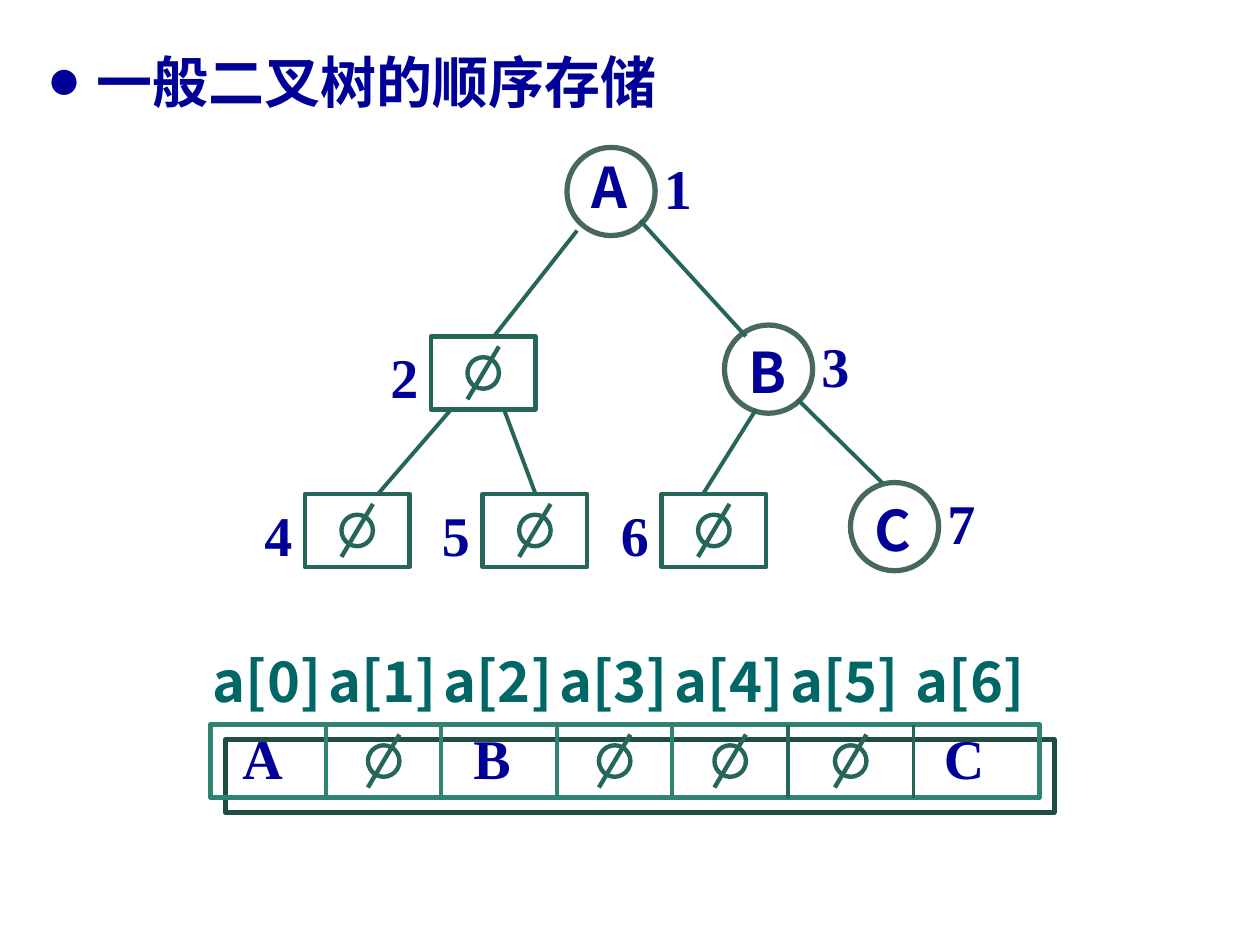
from dataclasses import dataclass

from lxml.etree import SubElement
from pptx import Presentation
from pptx.dml.color import RGBColor
from pptx.enum.shapes import MSO_CONNECTOR, MSO_SHAPE
from pptx.enum.text import PP_ALIGN
from pptx.oxml.ns import qn
from pptx.util import Inches, Pt

NAVY = "000099"
TEAL = "006666"
DARK_GREEN = "26665A"
CIRCLE_GREEN = "466861"
ARRAY_GREEN = "308272"
SHADOW_GREEN = "1D4E44"
CJK = "Noto Sans CJK SC"
SERIF = "Times New Roman"
BOX_WIDTH, BOX_HEIGHT = 0.83, 0.58
CIRCLE_SIZE = 0.7
SIGN_SIZE = 0.25


@dataclass
class LetterNode:
    letter: str
    number: str
    left: float
    top: float
    letter_top: float
    line_spacing: float


@dataclass
class EmptyNode:
    number: str
    left: float
    top: float


@dataclass
class Edge:
    start: tuple[float, float]
    end: tuple[float, float]


LETTER_NODES = [
    LetterNode("A", "1", 4.5, 1.17, 1.08, 1.15),
    LetterNode("B ", "3", 5.75, 2.58, 2.58, 1.1),
    LetterNode("C", "7", 6.75, 3.83, 3.83, 1.1),
]
EMPTY_NODES = [
    EmptyNode("2", 3.42, 2.67),
    EmptyNode("4", 2.42, 3.92),
    EmptyNode("5", 3.83, 3.92),
    EmptyNode("6", 5.25, 3.92),
]
EDGES = [
    Edge((4.58, 1.83), (3.92, 2.67)),
    Edge((5.08, 1.75), (5.92, 2.67)),
    Edge((3.58, 3.25), (3, 3.92)),
    Edge((4, 3.25), (4.25, 3.92)),
    Edge((6, 3.25), (5.58, 3.92)),
    Edge((6.33, 3.17), (7, 3.83)),
]
CELLS = ["A ", None, "B ", None, None, None, "C "]
ARRAY_LEFT, ARRAY_TOP, ARRAY_WIDTH = 1.67, 5.75, 6.58
CELL_WIDTH = 11 / 12
CELL_EDGES = [ARRAY_LEFT + CELL_WIDTH * index for index in range(6)] + [7.25]


def rgb(color: str) -> RGBColor:
    return RGBColor.from_string(color)


def add_text(slide, text: str, left: float, top: float, width: float, height: float, *,
             font: str = CJK, color: str = NAVY, align: PP_ALIGN = PP_ALIGN.LEFT,
             line_spacing: float = 1.0, bullet: bool = False):
    shape = slide.shapes.add_textbox(Inches(left), Inches(top), Inches(width), Inches(height))
    shape.text_frame.word_wrap = True
    paragraph = shape.text_frame.paragraphs[0]
    paragraph.alignment = align
    paragraph.line_spacing = line_spacing
    if bullet:
        properties = paragraph._p.get_or_add_pPr()
        properties.set("marL", str(Inches(0.42)))
        properties.set("indent", str(-Inches(0.37)))
        SubElement(properties, qn("a:buSzPct"), val="50000")
        SubElement(properties, qn("a:buFont"), typeface=CJK)
        SubElement(properties, qn("a:buChar"), char="●")
    run = paragraph.add_run()
    run.text = text
    run.font.name = font
    run.font.size = Pt(32)
    run.font.bold = True
    run.font.color.rgb = rgb(color)
    SubElement(run._r.get_or_add_rPr(), qn("a:ea"), typeface=font)
    return shape


def add_outline(slide, kind: MSO_SHAPE, left: float, top: float, width: float, height: float,
                color: str = DARK_GREEN, weight: float = 2.5):
    shape = slide.shapes.add_shape(kind, Inches(left), Inches(top), Inches(width), Inches(height))
    shape.shadow.inherit = False
    shape.fill.background()
    shape.line.color.rgb = rgb(color)
    shape.line.width = Pt(weight)
    return shape


def add_line(slide, start: tuple[float, float], end: tuple[float, float],
             color: str = DARK_GREEN, weight: float = 2.25):
    points = [Inches(value) for value in (*start, *end)]
    connector = slide.shapes.add_connector(MSO_CONNECTOR.STRAIGHT, *points)
    connector.line.color.rgb = rgb(color)
    connector.line.width = Pt(weight)
    SubElement(connector._element.spPr, qn("a:effectLst"))
    return connector


def add_empty_sign(slide, center_x: float, center_y: float) -> None:
    radius = SIGN_SIZE / 2
    add_outline(slide, MSO_SHAPE.OVAL, center_x - radius, center_y - radius, SIGN_SIZE, SIGN_SIZE)
    add_line(slide, (center_x + radius, center_y - 0.21),
             (center_x - radius, center_y + 0.21), weight=2.5)


def add_number(slide, number: str, left: float, top: float) -> None:
    add_text(slide, number, left, top, 0.5, 0.64, font=SERIF)


def add_letter_node(slide, node: LetterNode) -> None:
    add_outline(slide, MSO_SHAPE.FLOWCHART_CONNECTOR, node.left, node.top,
                CIRCLE_SIZE, CIRCLE_SIZE, CIRCLE_GREEN, 3)
    add_text(slide, node.letter, node.left + 0.09, node.letter_top, 0.5, 0.69,
             align=PP_ALIGN.CENTER, line_spacing=node.line_spacing)
    add_number(slide, node.number, node.left + 0.67, node.top)


def add_empty_node(slide, node: EmptyNode) -> None:
    add_outline(slide, MSO_SHAPE.RECTANGLE, node.left, node.top, BOX_WIDTH, BOX_HEIGHT)
    add_empty_sign(slide, node.left + BOX_WIDTH / 2, node.top + BOX_HEIGHT / 2)
    add_number(slide, node.number, node.left - 0.42, node.top)


def add_array(slide) -> None:
    frame = add_outline(slide, MSO_SHAPE.RECTANGLE, ARRAY_LEFT, ARRAY_TOP,
                        ARRAY_WIDTH, BOX_HEIGHT, ARRAY_GREEN)
    effects = frame._element.spPr.find(qn("a:effectLst"))
    shadow = SubElement(effects, qn("a:outerShdw"), blurRad="0", dist=str(Pt(12.1)),
                        dir="2700000", algn="ctr", rotWithShape="0")
    SubElement(shadow, qn("a:srgbClr"), val=SHADOW_GREEN)
    for index, (left, letter) in enumerate(zip(CELL_EDGES, CELLS)):
        if index > 0:
            add_line(slide, (left, ARRAY_TOP), (left, ARRAY_TOP + BOX_HEIGHT),
                     ARRAY_GREEN if index < 5 else DARK_GREEN)
        add_text(slide, f"a[{index}]", left - 0.08, 5.08, 1.25, 1.17, color=TEAL)
        if letter:
            add_text(slide, letter, left, ARRAY_TOP, CELL_WIDTH, BOX_HEIGHT, font=SERIF,
                     align=PP_ALIGN.CENTER, line_spacing=0.9)
        else:
            right = CELL_EDGES[index + 1]
            add_empty_sign(slide, (left + right) / 2, ARRAY_TOP + BOX_HEIGHT / 2)


def main() -> None:
    presentation = Presentation()
    presentation.slide_width = Inches(10)
    presentation.slide_height = Inches(7.5)
    slide = presentation.slides.add_slide(presentation.slide_layouts[6])
    add_text(slide, "一般二叉树的顺序存储", 0.25, 0.33, 9.75, 7.17, bullet=True)
    for node in LETTER_NODES:
        add_letter_node(slide, node)
    for edge in EDGES:
        add_line(slide, edge.start, edge.end)
    for node in EMPTY_NODES:
        add_empty_node(slide, node)
    add_array(slide)
    presentation.save("out.pptx")


if __name__ == "__main__":
    main()
